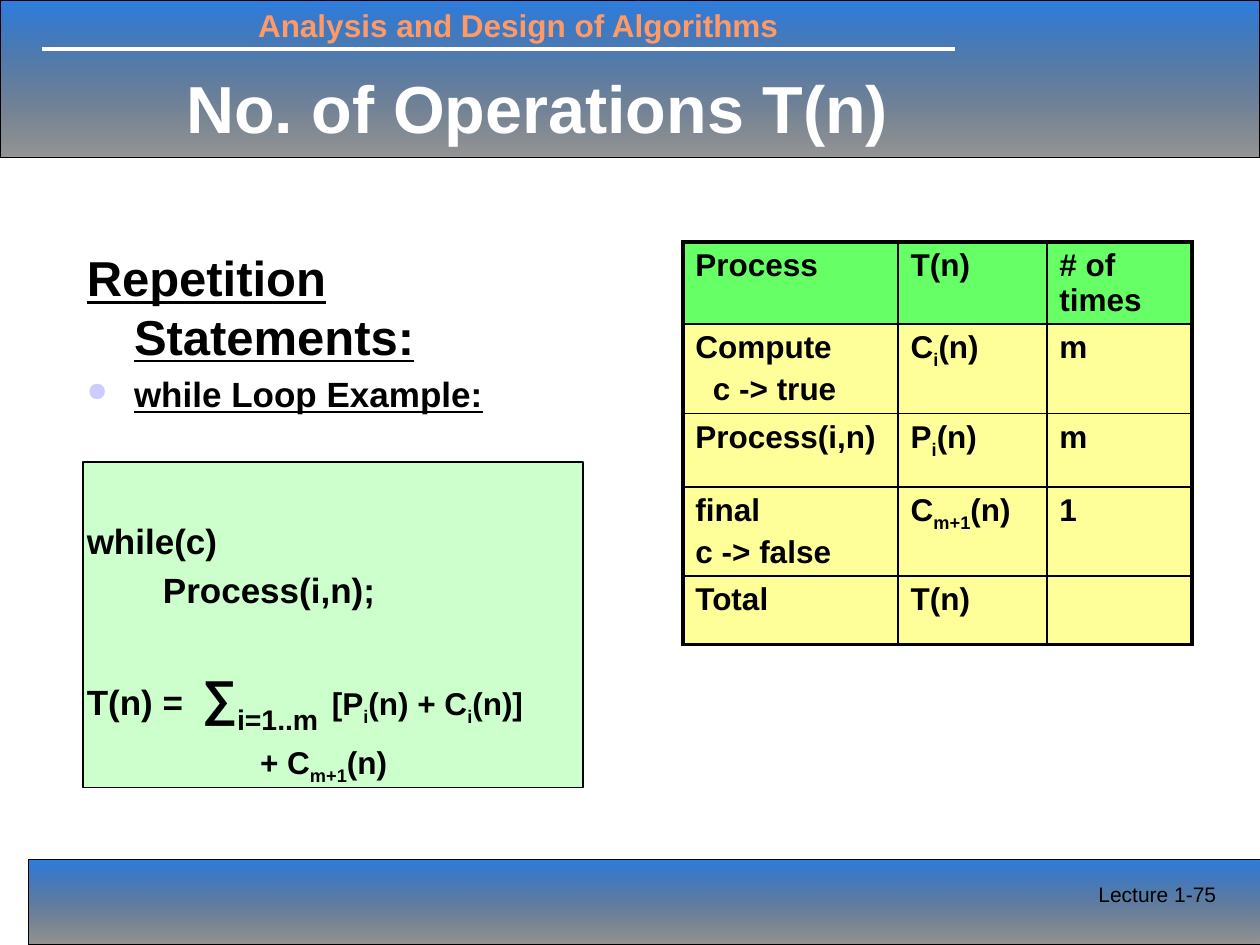
from lxml.etree import SubElement
from pptx import Presentation
from pptx.dml.color import RGBColor
from pptx.enum.shapes import MSO_CONNECTOR as CONN, MSO_SHAPE as SHAPE
from pptx.enum.text import MSO_ANCHOR as ANCHOR
from pptx.oxml.ns import qn
from pptx.util import Pt

C = {"black": "000000", "white": "FFFFFF", "blue": "0E6BDC", "orange": "FF9966",
     "mint": "CCFFCC", "lilac": "CCCCFF", "green": "66FF66", "yellow": "FFFF99"}
FONT = "Arial"
LINE_WIDTH, FRAME_WIDTH = 1, 2.25

BANDS = [(0, 0, 720, 90), (16.5, 491, 720, 49)]
BAND_ALPHA = [88, 41]
RULE = (24, 28, 546, 28)
CODE_BOX = (47.5, 264.2, 285.8, 185.8)

# A run is (text, size, subscript percent)
BODY_BOX = (42.5, 138.2, 317.5, 324)
BODY = [
    {"runs": [("Repetition Statements:", 28, 0)], "margin": 27, "indent": -27, "underline": True},
    {"runs": [("while Loop Example:", 20, 0)], "margin": 27, "indent": -27, "before": 4,
     "underline": True, "bullet": "●"},
    {"runs": [("while(c)", 20, 0)], "before": 60},
    {"runs": [("Process(i,n);", 20, 0)], "margin": 43.5, "before": 4},
    {"runs": [("T(n) =\t", 20, 0), ("∑", 28, 0), ("i=1..m", 28, 30), (" ", 28, 0), ("[P", 18, 0),
              ("i", 18, 25), ("(n) + C", 18, 0), ("i", 18, 25), ("(n)]", 18, 0)],
     "margin": 66, "indent": -66, "before": 32},
    {"runs": [("+ C", 18, 0), ("m+1", 18, 25), ("(n)", 18, 0)], "margin": 99, "before": 4},
]


def cell_line(text, sub="", rest="", margin=0):
    """A table paragraph: text, an optional subscript, then the rest."""
    runs = [(text, 18, 0), (sub, 18, 25), (rest, 18, 0)]
    return {"runs": [run for run in runs if run[0]], "margin": margin}


TABLE_AT = (390.2, 138.2)
COLUMNS = [123, 85, 83]
ROWS = [
    (47, [[cell_line("Process")], [cell_line("T(n)")], [cell_line("# of times")]]),
    (51, [[cell_line("Compute"), cell_line("c -> true", margin=10)],
          [cell_line("C", "i", "(n)")], [cell_line("m")]]),
    (42, [[cell_line("Process(i,n)")], [cell_line("P", "i", "(n)")], [cell_line("m")]]),
    (51, [[cell_line("final"), cell_line("c -> false")],
          [cell_line("C", "m+1", "(n)")], [cell_line("1")]]),
    (39, [[cell_line("Total")], [cell_line("T(n)")], []]),
]

LABELS = [
    ((140.4, 0, 360, 28.8), "Analysis and Design of Algorithms", ANCHOR.TOP,
     {"size": 18, "color": "orange", "bold": True}),
    ((99.4, 22.3, 612, 77.8), "No. of Operations T(n)", ANCHOR.MIDDLE,
     {"size": 38, "color": "white", "bold": True}),
    ((620.6, 500.4, 99.4, 36), "Lecture 1-75", ANCHOR.TOP, {"size": 12, "color": "black"}),
]


def rgb(name):
    return RGBColor.from_string(C[name])


def pts(values):
    return [Pt(v) for v in values]


def add_run(p, text, size, color="black", subscript=0, **style):
    r = p.add_run()
    r.text = text
    formats = {"name": FONT, "size": Pt(size), **style}
    for key, value in formats.items():
        setattr(r.font, key, value)
    r.font.color.rgb = rgb(color)
    if subscript:
        r._r.get_or_add_rPr().set("baseline", str(-1000 * subscript))


def add_paragraphs(tf, paragraphs, before=0):
    for i, para in enumerate(paragraphs):
        p = tf.add_paragraph() if i else tf.paragraphs[0]
        pPr = p._p.get_or_add_pPr()
        pPr.set("marL", str(Pt(para.get("margin", 0))))
        pPr.set("indent", str(Pt(para.get("indent", 0))))
        if "bullet" in para:
            color = SubElement(pPr, qn("a:buClr"))
            SubElement(color, qn("a:srgbClr"), val=C["lilac"])
            SubElement(pPr, qn("a:buSzPct"), val="75000")
            SubElement(pPr, qn("a:buChar"), char=para["bullet"])
        if i:
            p.space_before = Pt(para.get("before", before))
        for text, size, subscript in para["runs"]:
            add_run(p, text, size, subscript=subscript, bold=True,
                    underline=para.get("underline", False))


def add_textbox(s, box, anchor=ANCHOR.TOP):
    tf = s.shapes.add_textbox(*pts(box)).text_frame
    tf.word_wrap = True
    tf.vertical_anchor = anchor
    return tf


def add_rect(s, box, line_width):
    sp = s.shapes.add_shape(SHAPE.RECTANGLE, *pts(box))
    sp.shadow.inherit = False
    sp.line.color.rgb = rgb("black")
    sp.line.width = Pt(line_width)
    return sp


def add_band(s, box):
    sp = add_rect(s, box, 0.75)
    sp.fill.gradient()
    sp.fill.gradient_angle = 270
    stops = sp.fill.gradient_stops
    for stop, position, color in zip(stops, (0, 1), ("blue", "black")):
        stop.position = position
        stop.color.rgb = rgb(color)
    gradient = sp._element.spPr.find(qn("a:gradFill"))
    for color, alpha in zip(gradient.iter(qn("a:srgbClr")), BAND_ALPHA):
        SubElement(color, qn("a:alpha"), val=str(alpha * 1000))


def add_borders(cell, outer_sides):
    """Thick lines on the table's outer sides, thin ones elsewhere."""
    tcPr = cell._tc.get_or_add_tcPr()
    for i, side in enumerate("LRTB"):
        width = FRAME_WIDTH if side in outer_sides else LINE_WIDTH
        ln = tcPr.makeelement(qn(f"a:ln{side}"), w=str(Pt(width)))
        tcPr.insert(i, ln)
        SubElement(SubElement(ln, qn("a:solidFill")), qn("a:srgbClr"), val=C["black"])


def add_process_table(s):
    heights = [height for height, _ in ROWS]
    size = (sum(COLUMNS), sum(heights))
    table = s.shapes.add_table(len(ROWS), len(COLUMNS), *pts(TABLE_AT + size)).table
    for column, width in zip(table.columns, COLUMNS):
        column.width = Pt(width)
    for r, (height, cells) in enumerate(ROWS):
        table.rows[r].height = Pt(height)
        for c, paragraphs in enumerate(cells):
            cell = table.cell(r, c)
            cell.margin_bottom = 0
            cell.fill.solid()
            cell.fill.fore_color.rgb = rgb("yellow" if r else "green")
            add_paragraphs(cell.text_frame, paragraphs, before=3.6)
            edges = {"L": c == 0, "R": c == len(COLUMNS) - 1,
                     "T": r == 0, "B": r == len(ROWS) - 1}
            add_borders(cell, [side for side, outer in edges.items() if outer])


def main():
    prs = Presentation()
    prs.slide_width, prs.slide_height = Pt(720), Pt(540)
    s = prs.slides.add_slide(prs.slide_layouts[6])

    for box in BANDS:
        add_band(s, box)
    rule = s.shapes.add_connector(CONN.STRAIGHT, *pts(RULE))
    rule.line.color.rgb = rgb("white")
    rule.line.width = Pt(2.25)
    SubElement(rule._element.spPr, qn("a:effectLst"))

    code_box = add_rect(s, CODE_BOX, LINE_WIDTH)
    code_box.fill.solid()
    code_box.fill.fore_color.rgb = rgb("mint")

    for box, text, anchor, style in LABELS:
        add_run(add_textbox(s, box, anchor).paragraphs[0], text, **style)
    add_paragraphs(add_textbox(s, BODY_BOX), BODY)
    add_process_table(s)
    prs.save("out.pptx")


if __name__ == "__main__":
    main()
